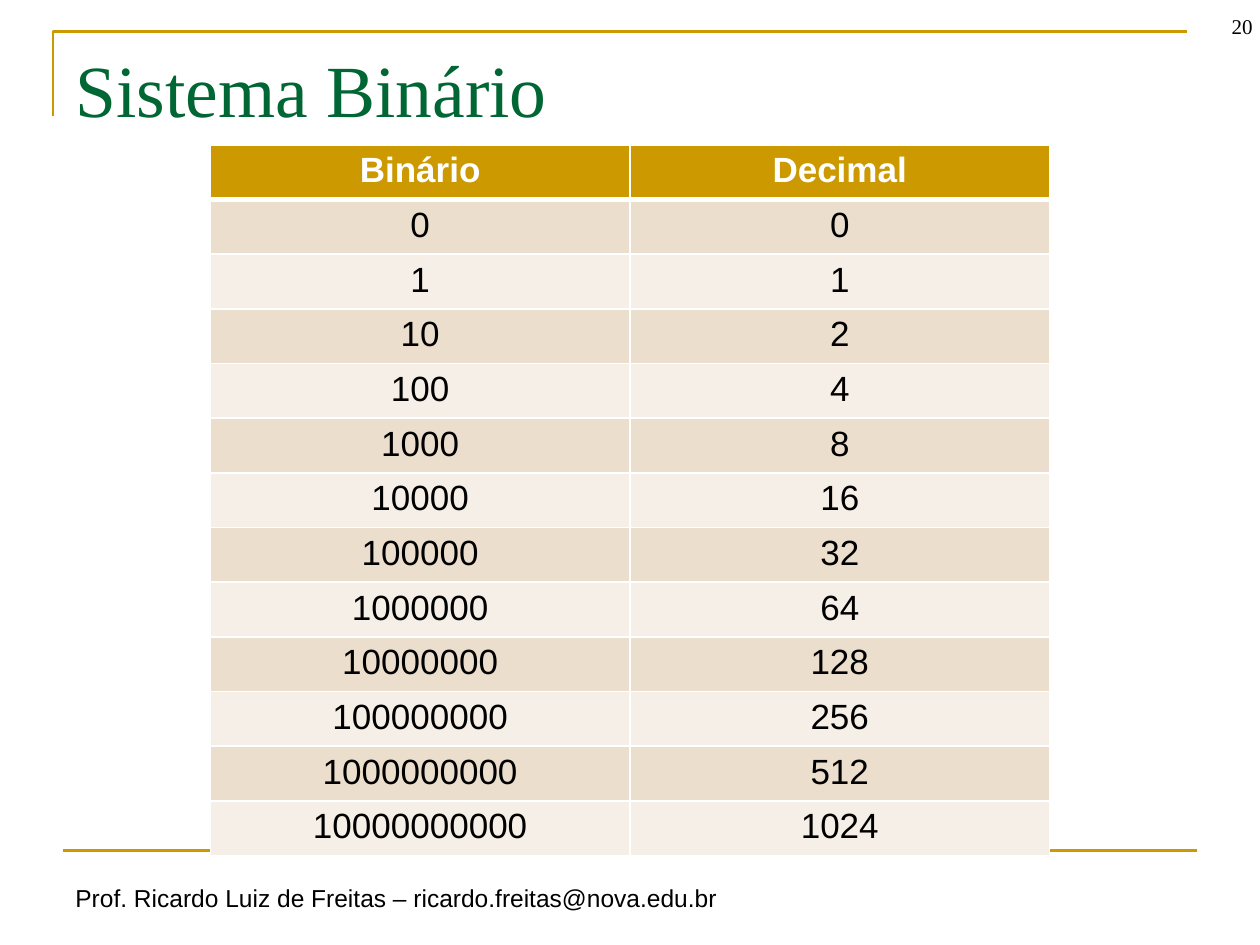
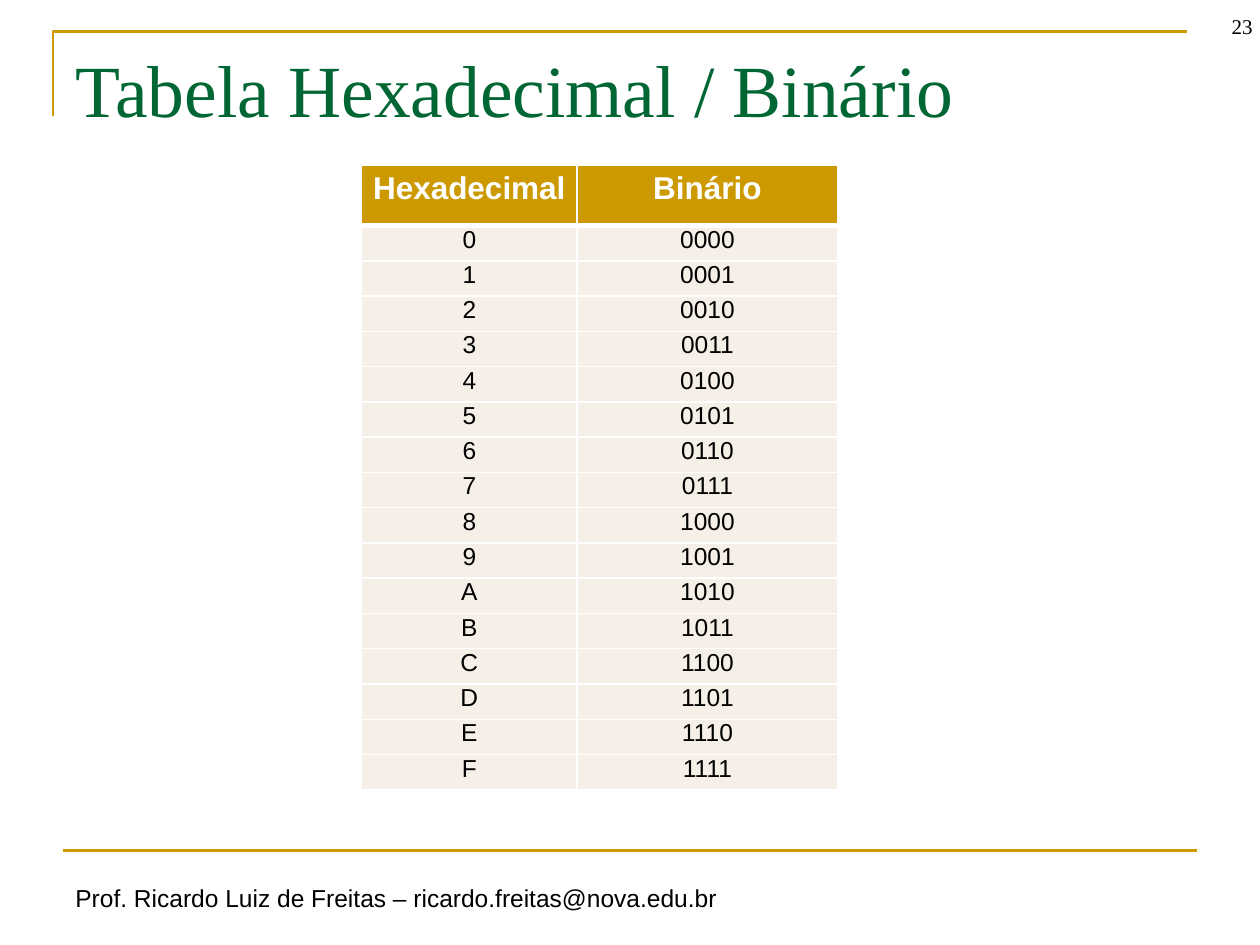
from lxml import etree
from pptx import Presentation
from pptx.dml.color import RGBColor
from pptx.enum.shapes import MSO_CONNECTOR
from pptx.enum.text import MSO_ANCHOR, PP_ALIGN
from pptx.oxml.ns import qn
from pptx.util import Inches, Pt

STRAIGHT = MSO_CONNECTOR.STRAIGHT
TOP, MIDDLE, BOTTOM = MSO_ANCHOR.TOP, MSO_ANCHOR.MIDDLE, MSO_ANCHOR.BOTTOM
LEFT, CENTER, RIGHT = PP_ALIGN.LEFT, PP_ALIGN.CENTER, PP_ALIGN.RIGHT

COLORS = {
    "gold": "CC9900",
    "green": "006633",
    "black": "000000",
    "white": "FFFFFF",
    "sand": "ECDECC",
    "cream": "F6EFE7",
}
SANS, SERIF = "Arial", "Times New Roman"
TITLE_BOX = (0.5, 0.3, 9, 1.25)
NUMBER_BOX = (9.29, -0.14, 0.75, 0.5)
FRAME_BOX = (0.42, 0.25, 9, 0.67)
FOOTER_BOX = (0.5, 6.75, 9, 0.55)
AUTHOR = "Prof. Ricardo Luiz de Freitas – ricardo.freitas@nova.edu.br"


def rgb(name):
    return RGBColor.from_string(COLORS[name])


def write(frame, text, size, font, color, align=LEFT, bold=False):
    frame.text = text
    paragraph = frame.paragraphs[0]
    paragraph.alignment = align
    run_font = paragraph.runs[0].font
    run_font.size, run_font.name, run_font.bold = Pt(size), font, bold
    run_font.color.rgb = rgb(color)
    return paragraph


def style_line(line):
    line.color.rgb = rgb("gold")
    line.width = Pt(1.5)


def add_corner_frame(slide, box):
    left, top, width, height = map(Inches, box)
    builder = slide.shapes.build_freeform(left, top + height)
    builder.add_line_segments([(left, top), (left + width, top)], close=False)
    corner = builder.convert_to_shape()
    corner.shadow.inherit = False
    corner.fill.background()
    style_line(corner.line)


def add_footer(slide, box):
    left, top, width, height = map(Inches, box)
    rule = slide.shapes.add_connector(STRAIGHT, left, top, left + width, top)
    style_line(rule.line)
    etree.SubElement(rule._element.spPr, qn("a:effectLst"))
    author_height = Inches(0.34)
    author = slide.shapes.add_textbox(
        left, top + height - author_height, Inches(5.52), author_height)
    author.text_frame.word_wrap = False
    write(author.text_frame, AUTHOR, 14, SANS, "black")


def add_title(slide, box, text):
    title = slide.shapes.title
    title.left, title.top, title.width, title.height = map(Inches, box)
    title.text_frame.vertical_anchor = TOP
    write(title.text_frame, text, 42, SERIF, "green")


def add_page_number(slide, box, number):
    page = slide.shapes.add_textbox(*map(Inches, box))
    page.text_frame.word_wrap = True
    page.text_frame.vertical_anchor = BOTTOM
    write(page.text_frame, str(number), 12, SERIF, "black", RIGHT)


def set_borders(cell, top, bottom):
    properties = cell._tc.get_or_add_tcPr()
    widths = {"lnL": 1, "lnR": 1, "lnT": top, "lnB": bottom}
    for index, (side, width) in enumerate(widths.items()):
        border = etree.Element(qn(f"a:{side}"), w=str(Pt(width)))
        fill = etree.SubElement(border, qn("a:solidFill"))
        etree.SubElement(fill, qn("a:srgbClr"), val=COLORS["white"])
        properties.insert(index, border)


def add_number_table(slide, position, columns, rows, header_height, row_height,
                     sizes, bands, compact=False):
    left, top = position
    height = header_height + row_height * (len(rows) - 1)
    table = slide.shapes.add_table(
        len(rows), len(columns), Inches(left), Inches(top),
        Inches(sum(columns)), Inches(height)).table
    for column, width in zip(table.columns, columns):
        column.width = Inches(width)
    for r, values in enumerate(rows):
        header = r == 0
        table.rows[r].height = Inches(header_height if header else row_height)
        for c, value in enumerate(values):
            cell = table.cell(r, c)
            cell.fill.solid()
            cell.fill.fore_color.rgb = rgb(
                "gold" if header else bands[(r - 1) % len(bands)])
            set_borders(cell, 3 if r == 1 else 1, 3 if header else 1)
            paragraph = write(cell.text_frame, value, sizes[0 if header else 1], SANS,
                              "white" if header else "black", CENTER, header)
            if compact:
                cell.margin_left = cell.margin_right = Inches(0.04)
                cell.margin_top = cell.margin_bottom = Inches(0.04)
                cell.vertical_anchor = MIDDLE if header else TOP
                paragraph.line_spacing = Pt(13)
                paragraph.space_after = Pt(8.5)


def add_base_slide(deck, title, number):
    slide = deck.slides.add_slide(deck.slide_layouts[5])
    add_corner_frame(slide, FRAME_BOX)
    add_footer(slide, FOOTER_BOX)
    add_title(slide, TITLE_BOX, title)
    add_page_number(slide, NUMBER_BOX, number)
    return slide


def build_binary_slide(deck):
    slide = add_base_slide(deck, "Sistema Binário", 20)
    decimals = [0] + [2 ** power for power in range(11)]
    rows = [("Binário", "Decimal")] + [(f"{n:b}", str(n)) for n in decimals]
    add_number_table(slide, (1.67, 1.15), (3.33, 3.33), rows, 0.41, 0.41,
                     (20, 20), ("sand", "cream"))


def build_hexadecimal_slide(deck):
    slide = add_base_slide(deck, "Tabela Hexadecimal / Binário", 23)
    rows = [("Hexadecimal", "Binário")] + [(f"{n:X}", f"{n:04b}") for n in range(16)]
    add_number_table(slide, (2.87, 1.31), (1.71, 2.07), rows, 0.48, 0.28,
                     (18, 14), ("cream",), compact=True)


def main():
    deck = Presentation()
    deck.slide_width, deck.slide_height = Inches(10), Inches(7.5)
    build_binary_slide(deck)
    build_hexadecimal_slide(deck)
    deck.save("out.pptx")


if __name__ == "__main__":
    main()
